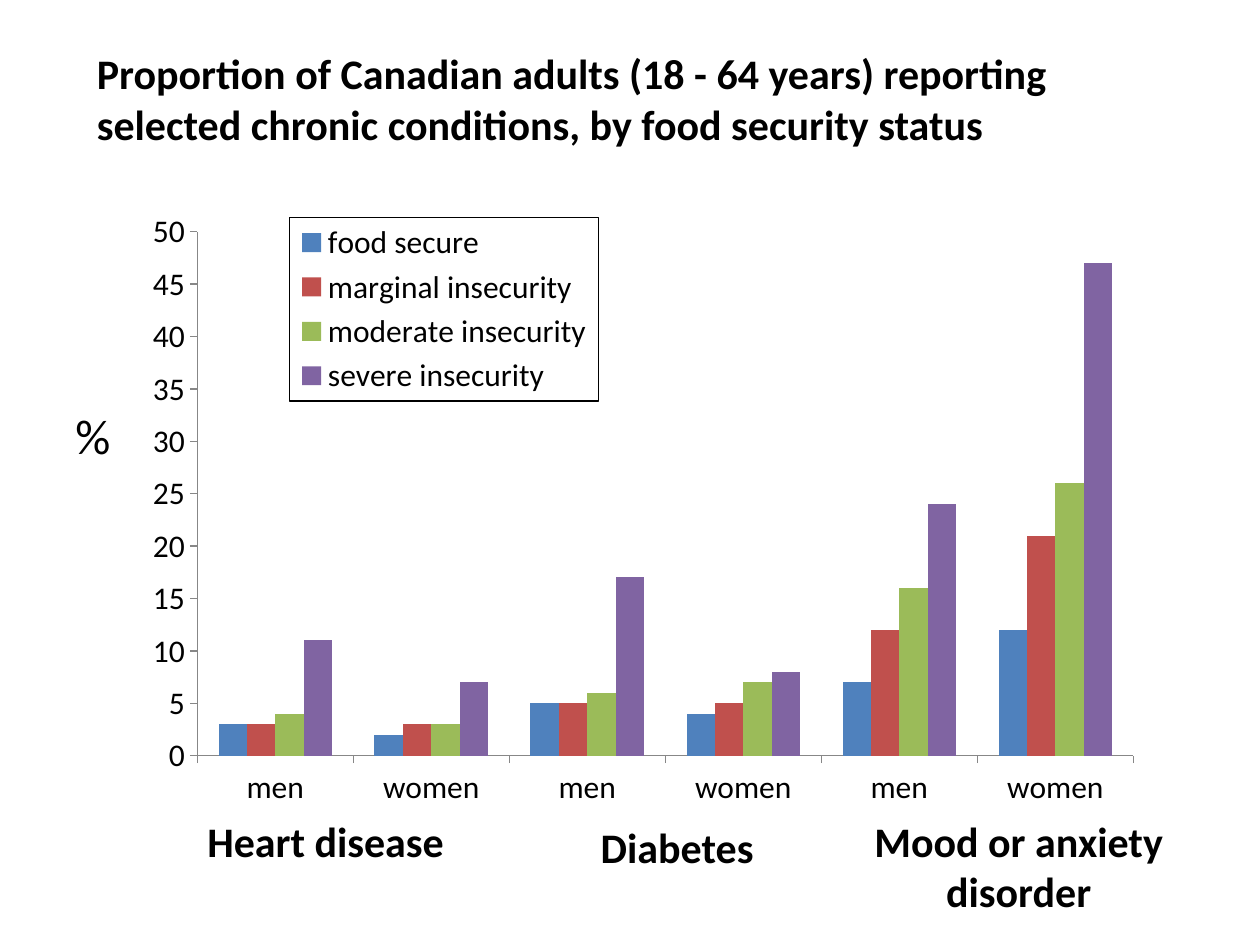
from lxml.etree import SubElement
from pptx import Presentation
from pptx.chart.data import CategoryChartData
from pptx.dml.color import RGBColor
from pptx.enum.chart import XL_CHART_TYPE, XL_LEGEND_POSITION, XL_TICK_MARK
from pptx.enum.text import PP_ALIGN
from pptx.oxml import parse_xml
from pptx.oxml.ns import nsdecls, qn
from pptx.util import Inches, Pt

BLACK = RGBColor(0x00, 0x00, 0x00)
AXIS_GRAY = RGBColor(0x87, 0x87, 0x87)
BLUE = RGBColor(0x4F, 0x81, 0xBD)
RED = RGBColor(0xC0, 0x50, 0x4D)
GREEN = RGBColor(0x9B, 0xBB, 0x59)
PURPLE = RGBColor(0x80, 0x64, 0xA2)
FONT = "Calibri"

CATEGORIES = ["men", "women"] * 3
SERIES = [
    ("food secure", (3, 2, 5, 4, 7, 12), BLUE),
    ("marginal insecurity", (3, 3, 5, 5, 12, 21), RED),
    ("moderate insecurity", (4, 3, 6, 7, 16, 26), GREEN),
    ("severe insecurity", (11, 7, 17, 8, 24, 47), PURPLE),
]
CONDITIONS = [
    ("Heart disease", 1.25, 6.42, 2.67, 0.5),
    ("Diabetes", 4.21, 6.47, 2.33, 0.5),
    ("Mood or anxiety disorder", 6.42, 6.42, 3.33, 0.9),
]


def style_font(font, size, bold=False):
    font.name = FONT
    font.size = Pt(size)
    font.bold = bold
    font.color.rgb = BLACK


def add_label(slide, text, left, top, width, height, size=24, bold=True,
              alignment=PP_ALIGN.LEFT):
    box = slide.shapes.add_textbox(Inches(left), Inches(top), Inches(width), Inches(height))
    box.text_frame.word_wrap = True
    paragraph = box.text_frame.paragraphs[0]
    paragraph.text = text
    paragraph.alignment = alignment
    style_font(paragraph.runs[0].font, size, bold)


def set_layout(element, index, x, y, width, height):
    """Place a chart part by fractions of the chart area."""
    for old_layout in element.findall(qn("c:layout")):
        element.remove(old_layout)
    layout = parse_xml(f"<c:layout {nsdecls('c')}/>")
    manual = SubElement(layout, qn("c:manualLayout"))
    settings = [("xMode", "edge"), ("yMode", "edge"),
                ("x", x), ("y", y), ("w", width), ("h", height)]
    for tag, value in settings:
        SubElement(manual, qn(f"c:{tag}")).set("val", str(value))
    element.insert(index, layout)


def style_axis(axis):
    axis.has_major_gridlines = False
    axis.major_tick_mark = XL_TICK_MARK.OUTSIDE
    axis.minor_tick_mark = XL_TICK_MARK.NONE
    axis.format.line.color.rgb = AXIS_GRAY
    axis.format.line.width = Pt(0.75)
    style_font(axis.tick_labels.font, 18)


def add_legend(chart):
    chart.has_legend = True
    legend = chart.legend
    legend.position = XL_LEGEND_POSITION.RIGHT
    legend.include_in_layout = False
    style_font(legend.font, 18)
    element = legend._element
    set_layout(element, 1, 0.18, 0.05, 0.3, 0.24)
    border = parse_xml(
        f'<c:spPr {nsdecls("c", "a")}><a:ln w="9525"><a:solidFill>'
        f'<a:srgbClr val="{BLACK}"/></a:solidFill></a:ln></c:spPr>')
    element.find(qn("c:txPr")).addprevious(border)


def add_condition_chart(slide):
    data = CategoryChartData()
    data.categories = CATEGORIES
    for name, values, _ in SERIES:
        data.add_series(name, values)
    chart = slide.shapes.add_chart(
        XL_CHART_TYPE.COLUMN_CLUSTERED,
        Inches(0.83), Inches(1.42), Inches(8.17), Inches(6.08), data).chart
    chart.has_title = False
    style_font(chart.font, 18)

    plot = chart.plots[0]
    plot.gap_width = 150
    plot.overlap = 0
    plot.vary_by_categories = False
    for series, (_, _, color) in zip(plot.series, SERIES):
        series.format.fill.solid()
        series.format.fill.fore_color.rgb = color

    style_axis(chart.category_axis)
    style_axis(chart.value_axis)
    chart.value_axis.minimum_scale = 0
    chart.value_axis.maximum_scale = 50
    chart.value_axis.major_unit = 5

    plot_area = chart._chartSpace.find(f"{qn('c:chart')}/{qn('c:plotArea')}")
    set_layout(plot_area, 0, 0.047, 0.044, 0.953, 0.775)
    add_legend(chart)


def main():
    presentation = Presentation()
    presentation.slide_width = Inches(10)
    presentation.slide_height = Inches(7.5)
    slide = presentation.slides.add_slide(presentation.slide_layouts[6])

    # Chart and its unit
    add_condition_chart(slide)
    add_label(slide, "%", 0.5, 3.17, 0.5, 0.57, size=28, bold=False)

    # Conditions under the category axis
    for text, *place in CONDITIONS:
        add_label(slide, text, *place, alignment=PP_ALIGN.CENTER)

    # Title
    add_label(slide, "Proportion of Canadian adults (18 - 64 years) reporting "
              "selected chronic conditions, by food security status",
              0.67, 0.33, 8.5, 0.9)

    presentation.save("out.pptx")


if __name__ == "__main__":
    main()
